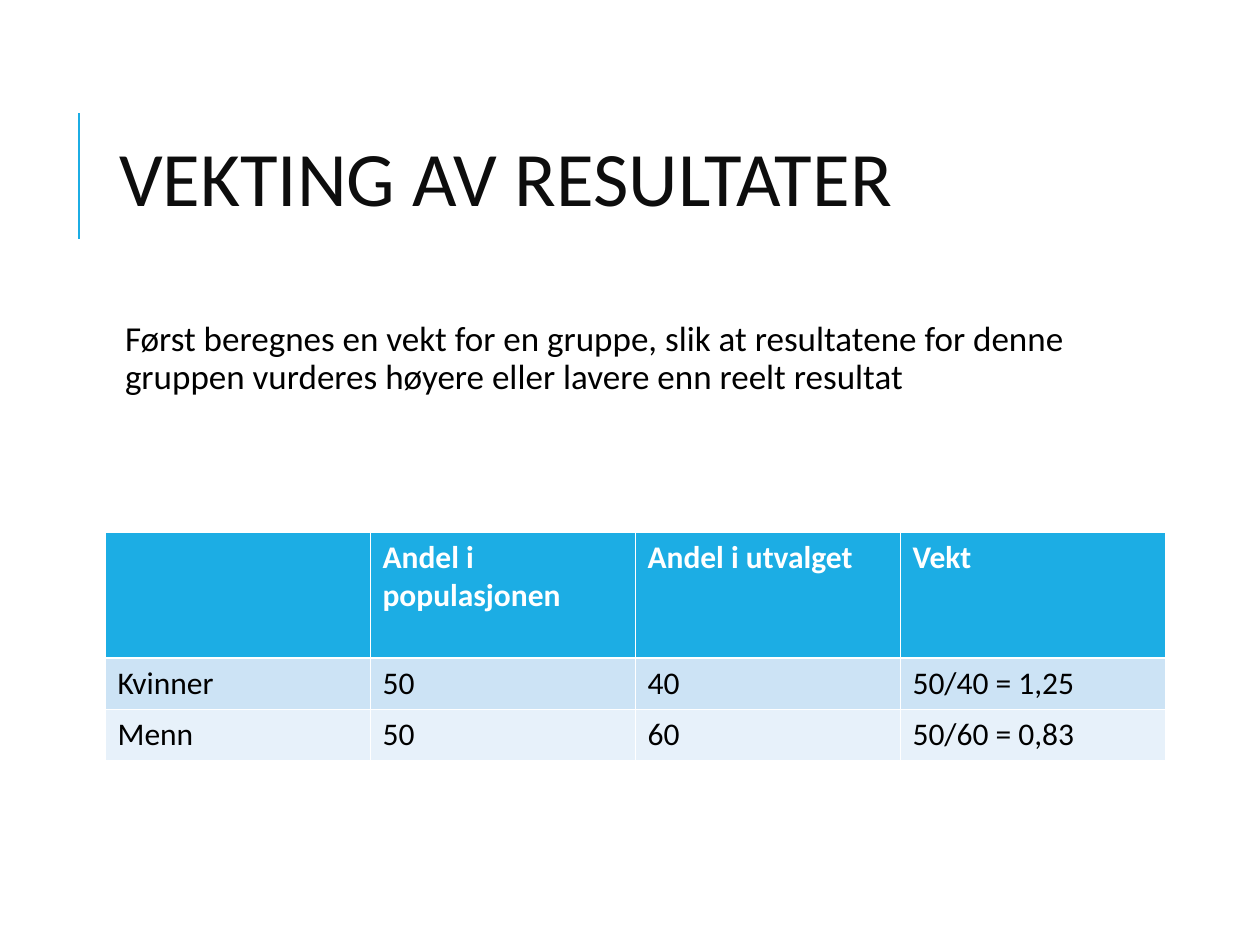
from dataclasses import dataclass

from lxml import etree
from pptx import Presentation
from pptx.dml.color import RGBColor
from pptx.enum import shapes, text
from pptx.oxml import ns
from pptx.util import Emu, Pt

FONT, BLUE, WHITE, BLACK = "Calibri", "1CADE4", "FFFFFF", "000000"
THIN, THICK = 0.45, 1.47


def px(n: int) -> Emu:
    return Emu(round(n * 914400 / 126))


def rgb(code: str) -> RGBColor:
    return RGBColor.from_string(code)


def style(par, size: int, color: str, bold: bool = False) -> None:
    font = par.font
    font.name, font.size, font.bold = FONT, Pt(size), bold
    font.color.rgb = rgb(color)


@dataclass
class Label:
    words: str
    box: tuple[int, int, int, int]
    size: int
    color: str
    lead: float
    pad: tuple[int, int]  # left and right inset, top and bottom inset
    anchor: text.MSO_ANCHOR
    indent: int = 0
    after: int = 0


@dataclass
class Row:
    cells: tuple[str, ...]
    height: int
    fill: str
    color: str
    top: float
    base: float
    bold: bool = False


def put_label(slide, label: Label) -> None:
    frame = slide.shapes.add_textbox(*map(px, label.box)).text_frame
    frame.word_wrap = True
    frame.vertical_anchor = label.anchor
    frame.margin_left = frame.margin_right = px(label.pad[0])
    frame.margin_top = frame.margin_bottom = px(label.pad[1])
    par = frame.paragraphs[0]
    par.text = label.words
    par.line_spacing = label.lead
    par.space_after = Pt(label.after)
    if label.indent:
        par._p.get_or_add_pPr().set("marL", str(px(label.indent)))
    style(par, label.size, label.color)


def put_edge(cell, side: str, width: float) -> None:
    props = cell._tc.get_or_add_tcPr()
    line = etree.SubElement(props, ns.qn(f"a:ln{side}"), w=str(Pt(width)))
    fill = etree.SubElement(line, ns.qn("a:solidFill"))
    etree.SubElement(fill, ns.qn("a:srgbClr"), val=WHITE)


def put_table(slide, left: int, top: int, width: int, rows: list[Row]) -> None:
    count = len(rows[0].cells)
    high = sum(row.height for row in rows)
    table = slide.shapes.add_table(
        len(rows), count, px(left), px(top), px(width * count), px(high)
    ).table
    for col in table.columns:
        col.width = px(width)
    for i, row in enumerate(rows):
        table.rows[i].height = px(row.height)
        for j, words in enumerate(row.cells):
            cell = table.cell(i, j)
            edges = {"L": THIN, "R": THIN, "T": row.top, "B": row.base}
            for side, size in edges.items():
                put_edge(cell, side, size)
            cell.fill.solid()
            cell.fill.fore_color.rgb = rgb(row.fill)
            par = cell.text_frame.paragraphs[0]
            par.text = words
            style(par, 18, row.color, row.bold)


LABELS = [
    Label("VEKTING AV RESULTATER", (106, 81, 1004, 207), 44, "0D0D0D", 0.8,
          (13, 6), text.MSO_ANCHOR.MIDDLE),
    Label("Først beregnes en vekt for en gruppe, slik at resultatene for denne "
          "gruppen vurderes høyere eller lavere enn reelt resultat",
          (106, 315, 1004, 554), 20, BLACK, 0.9, (6, 6),
          text.MSO_ANCHOR.TOP, indent=13, after=2),
]
ROWS = [
    Row(("", "Andel i populasjonen", "Andel i utvalget", "Vekt"),
        126, BLUE, WHITE, THIN, THICK, bold=True),
    Row(("Kvinner", "50", "40", "50/40 = 1,25"),
        51, "CCE3F5", BLACK, THICK, THIN),
    Row(("Menn", "50", "60", "50/60 = 0,83"),
        51, "E7F1FA", BLACK, THIN, THIN),
]


def main() -> None:
    deck = Presentation()
    deck.slide_width, deck.slide_height = px(1260), px(945)
    slide = deck.slides.add_slide(deck.slide_layouts[6])

    # Accent line beside the title
    bar = slide.shapes.add_connector(
        shapes.MSO_CONNECTOR.STRAIGHT, px(79), px(239), px(79), px(113))
    bar.line.color.rgb = rgb(BLUE)
    bar.line.width = Pt(1.5)
    etree.SubElement(bar._element.spPr, ns.qn("a:effectLst"))

    # Title and body
    for label in LABELS:
        put_label(slide, label)

    # Weights by group
    put_table(slide, 105, 532, 265, ROWS)
    deck.save("out.pptx")


if __name__ == "__main__":
    main()
